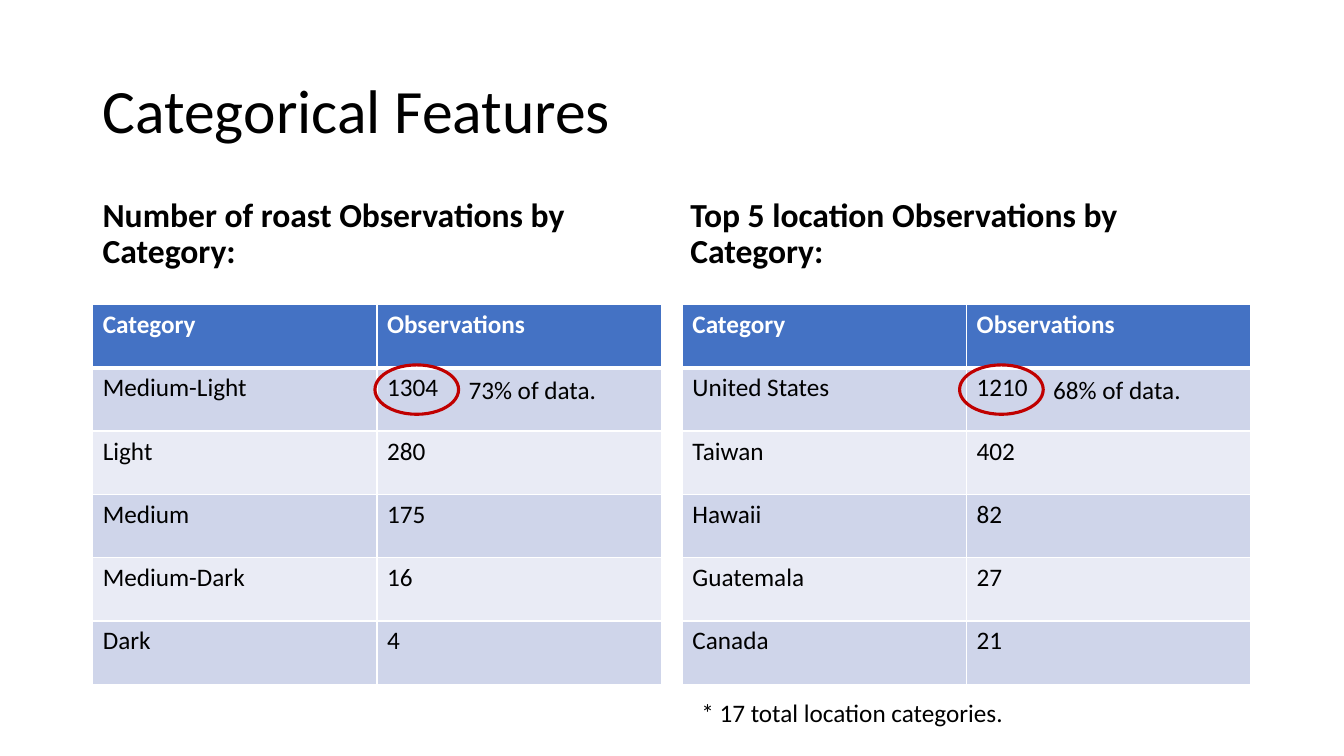
from dataclasses import dataclass

from lxml.etree import SubElement
from pptx import Presentation
from pptx.dml.color import RGBColor
from pptx.enum.shapes import MSO_SHAPE
from pptx.enum.text import MSO_ANCHOR, MSO_AUTO_SIZE
from pptx.oxml.ns import qn
from pptx.slide import Slide
from pptx.table import _Cell
from pptx.util import Pt


@dataclass(frozen=True)
class Theme:
    font: str = "Calibri"
    ink: str = "000000"
    white: str = "FFFFFF"
    header: str = "4472C4"
    bands: tuple[str, str] = ("CFD5EA", "E9EBF5")
    accent: str = "C00000"
    title_size: float = 44
    heading_size: float = 24
    body_size: float = 18
    thin_border: float = 1
    thick_border: float = 3
    ring_width: float = 2.25


@dataclass(frozen=True)
class Frame:
    left: float
    top: float
    width: float
    height: float

    def lengths(self) -> tuple[Pt, Pt, Pt, Pt]:
        return Pt(self.left), Pt(self.top), Pt(self.width), Pt(self.height)


@dataclass(frozen=True)
class Panel:
    heading: str
    heading_left: float
    heading_width: float
    table_left: float
    ring_left: float
    share: str
    rows: tuple[tuple[str, str], ...]


THEME = Theme()
TABLE_TOP, COLUMN_WIDTH, ROW_HEIGHT = 217.44, 203.04, 45.24
RING_TOP, RING_WIDTH, RING_HEIGHT = 260.64, 59.76, 35.28
COLUMN_NAMES = ("Category", "Observations")

PANELS = (
    Panel("Number of roast Observations by Category:", 66.24, 406.08, 66.24, 267.84, "73% of data.",
          (("Medium-Light", "1304"), ("Light", "280"), ("Medium", "175"),
           ("Medium-Dark", "16"), ("Dark", "4"))),
    Panel("Top 5 location Observations by Category:", 486, 408.24, 487.44, 685.44, "68% of data.",
          (("United States", "1210"), ("Taiwan", "402"), ("Hawaii", "82"),
           ("Guatemala", "27"), ("Canada", "21"))),
)


def write_text(frame, text: str, size: float, color: str = THEME.ink, bold: bool = False) -> None:
    span = frame.paragraphs[0].add_run()
    span.text = text
    formats = {"name": THEME.font, "size": Pt(size), "bold": bold}
    for name, value in formats.items():
        setattr(span.font, name, value)
    span.font.color.rgb = RGBColor.from_string(color)


def add_heading(page: Slide, place: Frame, text: str, size: float, anchor: MSO_ANCHOR,
                bold: bool = False, space_before: float = 0) -> None:
    frame = page.shapes.add_textbox(*place.lengths()).text_frame
    frame.word_wrap = True
    frame.vertical_anchor = anchor
    write_text(frame, text, size, bold=bold)
    para = frame.paragraphs[0]
    para.line_spacing = 0.9
    para.space_before = Pt(space_before)


def add_note(page: Slide, place: Frame, text: str) -> None:
    frame = page.shapes.add_textbox(*place.lengths()).text_frame
    frame.word_wrap = False
    frame.auto_size = MSO_AUTO_SIZE.SHAPE_TO_FIT_TEXT
    write_text(frame, text, THEME.body_size)


def add_borders(cell: _Cell, top: float, bottom: float) -> None:
    """Draw white cell borders; call before the fill, which must follow them in the XML."""
    thin = THEME.thin_border
    properties = cell._tc.get_or_add_tcPr()
    for tag, width in {"a:lnL": thin, "a:lnR": thin, "a:lnT": top, "a:lnB": bottom}.items():
        line = SubElement(properties, qn(tag), w=str(int(Pt(width))))
        fill = SubElement(line, qn("a:solidFill"))
        SubElement(fill, qn("a:srgbClr"), val=THEME.white)


def add_observations(page: Slide, panel: Panel) -> None:
    rows = (COLUMN_NAMES, *panel.rows)
    place = Frame(panel.table_left, TABLE_TOP, COLUMN_WIDTH * len(COLUMN_NAMES),
                  ROW_HEIGHT * len(rows))
    table = page.shapes.add_table(len(rows), len(COLUMN_NAMES), *place.lengths()).table
    for column in table.columns:
        column.width = Pt(COLUMN_WIDTH)
    for row_index, values in enumerate(rows):
        table.rows[row_index].height = Pt(ROW_HEIGHT)
        is_header = row_index == 0
        background = THEME.header if is_header else THEME.bands[(row_index - 1) % 2]
        top = THEME.thick_border if row_index == 1 else THEME.thin_border
        bottom = THEME.thick_border if is_header else THEME.thin_border
        for column_index, value in enumerate(values):
            cell = table.cell(row_index, column_index)
            add_borders(cell, top, bottom)
            cell.fill.solid()
            cell.fill.fore_color.rgb = RGBColor.from_string(background)
            write_text(cell.text_frame, value, THEME.body_size,
                       THEME.white if is_header else THEME.ink, is_header)


def add_ring(page: Slide, place: Frame) -> None:
    ring = page.shapes.add_shape(MSO_SHAPE.OVAL, *place.lengths())
    ring.shadow.inherit = False
    ring.fill.background()
    ring.line.color.rgb = RGBColor.from_string(THEME.accent)
    ring.line.width = Pt(THEME.ring_width)


def add_panel(page: Slide, panel: Panel) -> None:
    add_heading(page, Frame(panel.heading_left, 132.48, panel.heading_width, 64.8), panel.heading,
                THEME.heading_size, MSO_ANCHOR.BOTTOM, bold=True, space_before=10)
    add_observations(page, panel)
    add_ring(page, Frame(panel.ring_left, RING_TOP, RING_WIDTH, RING_HEIGHT))
    add_note(page, Frame(panel.ring_left + RING_WIDTH, 263.52, 106.56, 28.8), panel.share)


def main() -> None:
    deck = Presentation()
    deck.slide_width, deck.slide_height = Pt(960), Pt(540)
    page = deck.slides.add_slide(deck.slide_layouts[6])
    add_heading(page, Frame(66.24, 28.8, 828, 104.4), "Categorical Features",
                THEME.title_size, MSO_ANCHOR.MIDDLE)
    for panel in PANELS:
        add_panel(page, panel)
    add_note(page, Frame(493.92, 494.64, 236.88, 28.8), "* 17 total location categories.")
    deck.save("out.pptx")


if __name__ == "__main__":
    main()
